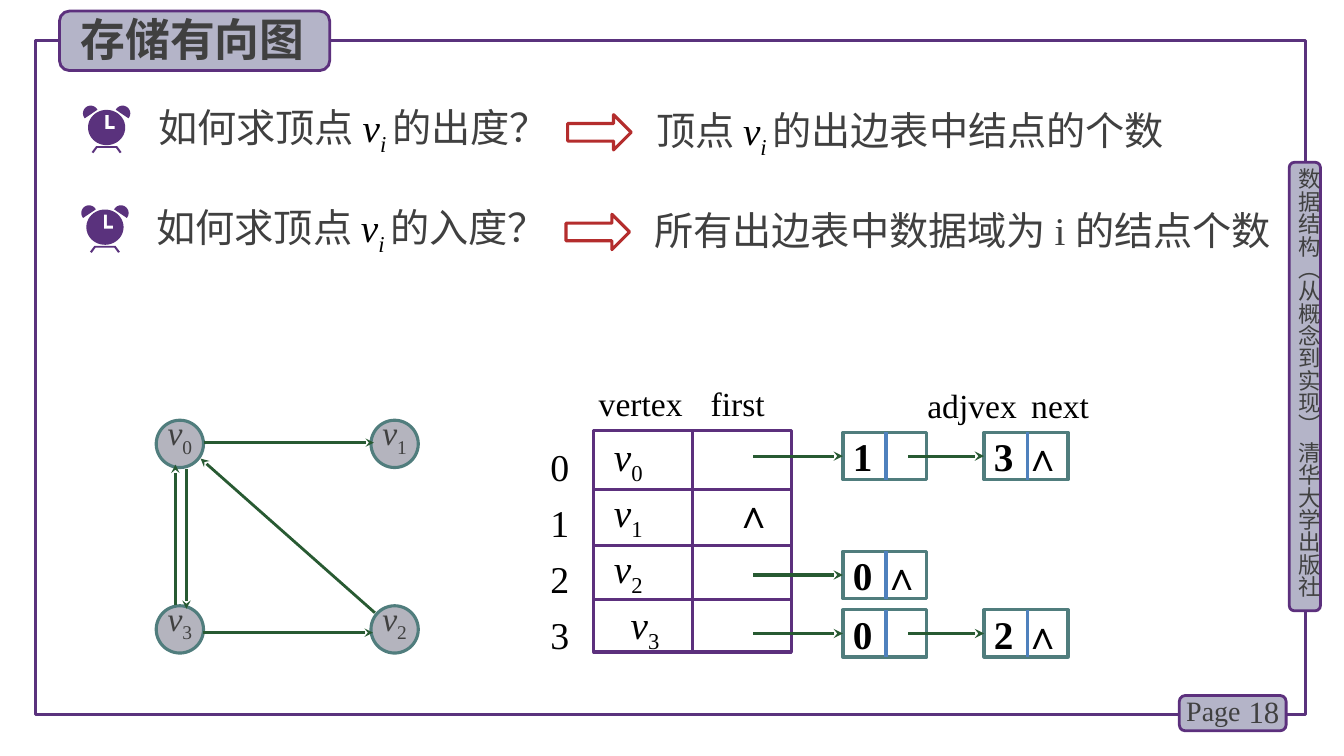
from math import cos, radians, sin

from lxml import etree
from pptx import Presentation
from pptx.dml.color import RGBColor
from pptx.enum.shapes import MSO_CONNECTOR as Line, MSO_SHAPE as Preset
from pptx.enum.text import MSO_ANCHOR as Anchor, PP_ALIGN as Align
from pptx.oxml.ns import qn
from pptx.util import Pt

COLORS = {"frame": "5A327D", "badge": "B4B4C8", "badge_line": "5C307D",
          "text": "404040", "black": "000000", "node": "B4B4BE",
          "node_line": "507D7D", "edge": "285A32", "divider": "4F81BD",
          "arrow": "B42D2D"}
LATIN, CJK = "Times New Roman", "Noto Sans CJK SC"
ITALIC, SUB = {"italic": True}, {"sub": True}


def color(name):
    return RGBColor.from_string(COLORS[name])


def paint(shape, fill, line, width):
    shape.shadow.inherit = False
    if fill:
        shape.fill.solid()
        shape.fill.fore_color.rgb = color(fill)
    else:
        shape.fill.background()
    if line:
        shape.line.color.rgb = color(line)
        shape.line.width = Pt(width)
    else:
        shape.line.fill.background()


def add_box(slide, preset, box, fill, line, width=2.25):
    shape = slide.shapes.add_shape(preset, *map(Pt, box))
    paint(shape, fill, line, width)
    return shape


def add_line(slide, start, end, line, width=2.25, arrow=False):
    connector = slide.shapes.add_connector(Line.STRAIGHT, *map(Pt, start + end))
    connector.line.color.rgb = color(line)
    connector.line.width = Pt(width)
    if arrow:
        tail = etree.SubElement(connector.line._get_or_add_ln(), qn("a:tailEnd"))
        tail.set("type", "stealth")
    etree.SubElement(connector._element.spPr, qn("a:effectLst"))
    return connector


def write(shape, paragraphs, size, ink="text", bold=False, font=LATIN, align=Align.LEFT,
          spacing=None, insets=(7.2, 3.6, 7.2, 3.6), anchor=Anchor.TOP):
    """Fill a shape with paragraphs, each a list of (text, style) runs."""
    frame = shape.text_frame
    frame.word_wrap = True
    frame.vertical_anchor = anchor
    (frame.margin_left, frame.margin_top,
     frame.margin_right, frame.margin_bottom) = map(Pt, insets)
    for index, runs in enumerate(paragraphs):
        paragraph = frame.paragraphs[0] if index == 0 else frame.add_paragraph()
        paragraph.alignment = align
        if spacing:
            paragraph.line_spacing = spacing
        for text, style in runs:
            run = paragraph.add_run()
            run.text = text
            run.font.size = Pt(size)
            run.font.bold = bold
            run.font.italic = style.get("italic", False)
            run.font.color.rgb = color(style.get("ink", ink))
            run.font.name = font
            properties = run._r.get_or_add_rPr()
            etree.SubElement(properties, qn("a:ea")).set("typeface", CJK)
            if style.get("sub"):
                properties.set("baseline", "-25000")


def add_text(slide, box, paragraphs, size, **options):
    label = slide.shapes.add_textbox(*map(Pt, box))
    write(label, paragraphs, size, **options)
    return label


def plain(text):
    return [[(text, {})]]


def vertex(number):
    return [("v", ITALIC), (str(number), SUB)]


def add_page_frame(slide):
    add_box(slide, Preset.RECTANGLE, (25.2, 28.8, 907.2, 481.7), None, "frame")
    for badge in ((920.9, 115.9, 22.3, 320.4), (842.4, 496.8, 76.3, 25.2),
                  (42.5, 7.9, 193, 42.5)):
        add_box(slide, Preset.ROUNDED_RECTANGLE, badge, "badge", "badge_line", 2)
    publisher = add_text(slide, (925.2, 120.2, 19.4, 323.3),
                         plain("数据结构（从概念到实现） 清华大学出版社"), 16,
                         font=CJK, insets=(0, 0, 0, 0))
    publisher.text_frame._txBody.bodyPr.set("vert", "eaVert")
    add_text(slide, (840.2, 491.8, 60, 31.7), plain("Page"), 20)
    add_text(slide, (878.4, 493.9, 42.5, 28.8), plain("18"), 22,
             align=Align.RIGHT, anchor=Anchor.MIDDLE)
    add_text(slide, (50.4, 5, 180, 46), plain("存储有向图"), 32, font=CJK, bold=True)


def add_alarm_clock(slide, left, top):
    axis = 17.2

    def arc(x, y, rx, ry, first, last):
        return [(x + rx * cos(radians(a)), y + ry * sin(radians(a)))
                for a in range(first, last + 1, 8)]

    left_bell = arc(5.8, 5.4, 5.5, 5.5, 140, 332)
    contours = [
        arc(axis, 15.5, 13.3, 12.6, 0, 359),
        [(16.4, 6.5), (18.6, 6.5), (18.6, 14.4), (23, 14.4), (23, 16.6), (16.4, 16.6)],
        left_bell,
        [(2 * axis - x, y) for x, y in left_bell],
        [(6.5, 33.1), (9.7, 28.8), (24.7, 28.8), (27.9, 33.1),
         (26.6, 33.8), (23.9, 30.1), (10.5, 30.1), (7.8, 33.8)],
    ]
    placed = [[(Pt(left + x), Pt(top + y)) for x, y in contour] for contour in contours]
    builder = slide.shapes.build_freeform(*placed[0][0])
    for index, contour in enumerate(placed):
        if index:
            builder.move_to(*contour[0])
        builder.add_line_segments(contour[1:], close=True)
    paint(builder.convert_to_shape(), "frame", None, 0)


def add_question(slide, left, top, degree, answer):
    black = {"ink": "black", "italic": True}
    vertex_i = [("v", black), ("i ", {**black, **SUB})]
    add_alarm_clock(slide, left, top + 5)
    add_text(slide, (left + 46.9, top, 335.5, 41),
             [[("如何求顶点 ", {}), *vertex_i, (f"的{degree}？", {})]], 28)
    add_box(slide, Preset.RIGHT_ARROW, (left + 346.5, top + 11.3, 45.4, 25.2),
            None, "arrow")
    runs = [run for part in answer
            for run in (vertex_i if part == "vi" else [(part, {})])]
    add_text(slide, (left + 402.5, top + 1.8, 461.5, 41), [runs], 28)


def add_graph(slide, left, top):
    size, across, down = 33.8, 153.4, 132.5
    edges = [((33.8, 16), (155.5, 16)), ((33.1, 151.7), (154.8, 151.7)),
             ((21.6, 34.6), (21.6, 134.7)), ((13.7, 131.8), (13.7, 31.7)),
             ((156.2, 137.5), (31.7, 27.4))]
    for number, (column, row) in enumerate([(0, 0), (1, 0), (1, 1), (0, 1)]):
        node = add_box(slide, Preset.OVAL,
                       (left + column * across, top + row * down, size, size),
                       "node", "node_line")
        write(node, [vertex(number)], 24, align=Align.CENTER, spacing=Pt(22),
              insets=(0, 0, 0, 0))
    for start, end in edges:
        add_line(slide, (left + start[0], top + start[1]),
                 (left + end[0], top + end[1]), "edge", 2, arrow=True)


def add_edge_list(slide, left, top, targets):
    """Chain of list nodes entered by a pointer from the first column."""
    width, height, pitch = 60, 33.8, 100.8
    pointer_x = left - 64
    for index, target in enumerate(targets):
        x = left + index * pitch
        last = index == len(targets) - 1
        node = add_box(slide, Preset.RECTANGLE, (x, top, width, height),
                       None, "node_line")
        write(node, plain(f"{target} ∧" if last and target != "1" else target), 28,
              ink="black", bold=True, insets=(7.2, 0, 0, 0))
        add_line(slide, (x + 30.8, top), (x + 30.8, top + height), "divider")
        middle = top + height / 2
        pointer = add_line(slide, (pointer_x, middle), (x, middle), "edge", arrow=True)
        pointer.end_connect(node, 1)
        pointer_x = x + 46.5


def add_adjacency_list(slide, left, top):
    column, height = 70.6, 158.4
    black = {"ink": "black"}
    for x, y, heading in ((3.6, -37.4, "vertex"), (83.5, -37.4, "first"),
                          (238.3, -36, "adjvex"), (312.5, -36, "next")):
        add_text(slide, (left + x, top + y, 75, 36), plain(heading), 24,
                 insets=(0, 3.6, 0, 3.6), **black)
    add_text(slide, (left - 31, top + 2.2, 31, 160), [[(str(n), {})] for n in range(4)],
             27, spacing=Pt(40), insets=(0, 0, 0, 0), **black)
    vertices, firsts = [
        add_box(slide, Preset.RECTANGLE, (left + i * column, top, column, height),
                None, "badge_line") for i in range(2)]
    write(vertices, [vertex(n) for n in range(4)], 28, spacing=Pt(40),
          insets=(14.4, 0, 0, 0), **black)
    vertices.text_frame.paragraphs[3]._p.get_or_add_pPr().set("marL", str(Pt(12)))
    for y in (42, 82, 121):
        add_line(slide, (left, top + y), (left + 2 * column, top + y), "badge_line")
    add_text(slide, (left + 93.6, top + 46.1, 44, 30), plain("∧"), 28, bold=True,
             spacing=0.9, insets=(7.2, 0, 7.2, 0), **black)
    for y, targets in ((1.5, "13"), (86.4, "0"), (128.2, "02")):
        add_edge_list(slide, left + 178, top + y, targets)


def main():
    deck = Presentation()
    deck.slide_width, deck.slide_height = Pt(960), Pt(540)
    slide = deck.slides.add_slide(deck.slide_layouts[6])
    add_page_frame(slide)
    add_question(slide, 59, 70.6, "出度", ["顶点 ", "vi", "的出边表中结点的个数"])
    add_question(slide, 57.8, 141.8, "入度", ["所有出边表中数据域为 i 的结点个数"])
    add_graph(slide, 111.6, 300.2)
    add_adjacency_list(slide, 424.1, 307.4)
    deck.save("out.pptx")


if __name__ == "__main__":
    main()
